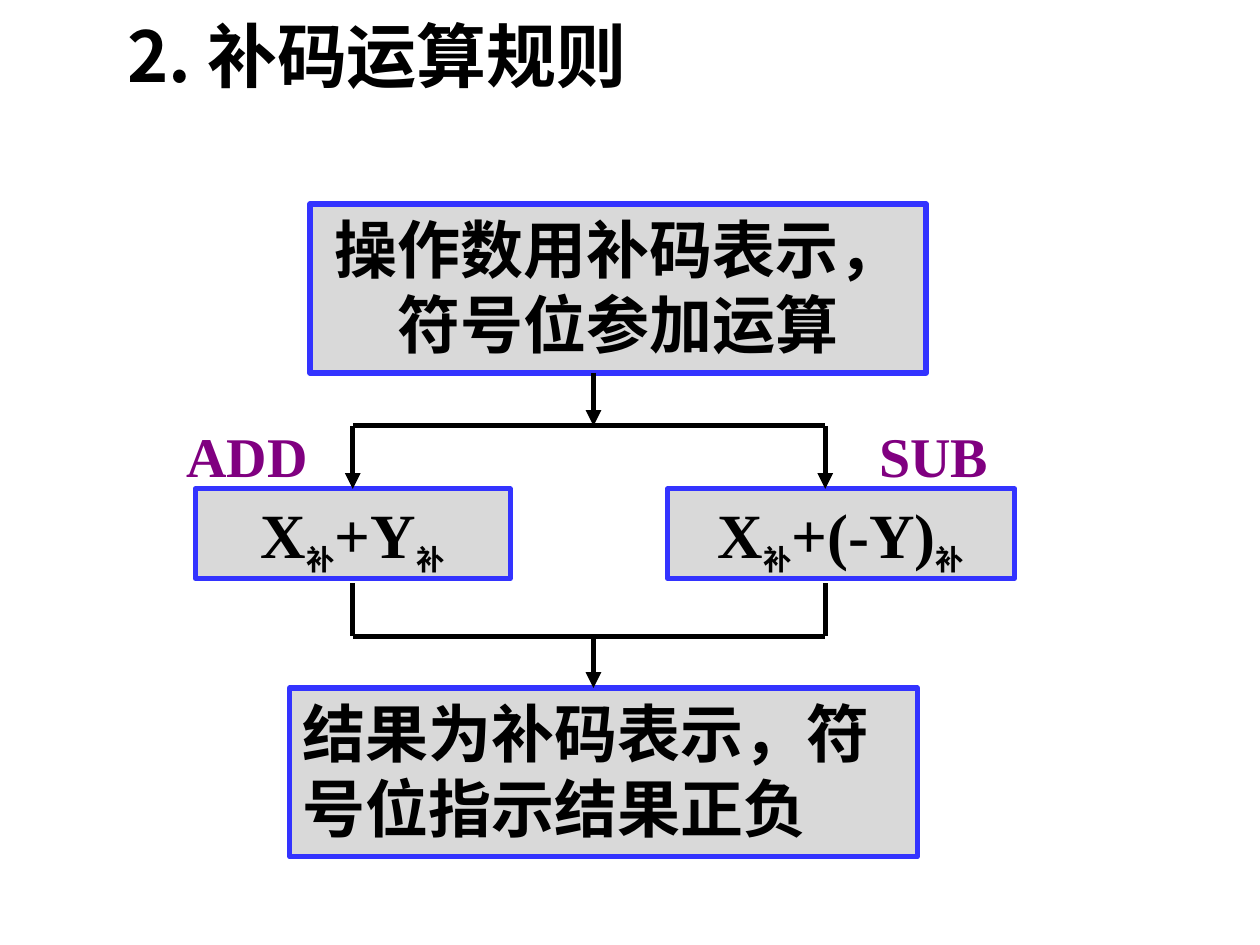
"""Builds a slide with the flow chart of two's complement addition and subtraction."""
from lxml import etree
from pptx import Presentation
from pptx.dml.color import RGBColor
from pptx.enum.shapes import MSO_CONNECTOR, MSO_SHAPE
from pptx.enum.text import MSO_ANCHOR, PP_ALIGN
from pptx.oxml.ns import qn
from pptx.util import Inches, Pt

RECT = MSO_SHAPE.RECTANGLE
LINE = MSO_CONNECTOR.STRAIGHT
TOP = MSO_ANCHOR.TOP
LEFT, MID = PP_ALIGN.LEFT, PP_ALIGN.CENTER
SANS, SERIF = "Noto Sans CJK SC", "Times New Roman"
COLORS = {"ink": "000000", "fill": "D9D9D9", "edge": "3333FF", "label": "800080"}


def write(shape, parts, size, color="ink", align=LEFT, face=SERIF):
    frame = shape.text_frame
    frame.word_wrap = True
    frame.vertical_anchor = TOP
    para = frame.paragraphs[0]
    para.alignment = align
    para.space_before = Pt(0)
    for part in parts:
        run = para.add_run()
        run.text = part
        font = run.font
        font.size = Pt(size)
        font.bold = True
        font.name = face
        font.color.rgb = RGBColor.from_string(COLORS[color])
        props = run._r.get_or_add_rPr()
        etree.SubElement(props, qn("a:ea"), typeface=SANS)
        if part == "补":
            font.size = Pt(28)
            props.set("baseline", "-25000")


def draw(x1, y1, x2, y2, arrow):
    line = slide.shapes.add_connector(LINE, Inches(x1), Inches(y1), Inches(x2), Inches(y2))
    line.line.width = Pt(3)
    line.line.color.rgb = RGBColor.from_string(COLORS["ink"])
    if arrow:
        etree.SubElement(line.line._get_or_add_ln(), qn("a:tailEnd"), type="triangle")
    etree.SubElement(line._element.spPr, qn("a:effectLst"))
    return line


prs = Presentation()
prs.slide_width, prs.slide_height = Inches(10), Inches(7.5)
slide = prs.slides.add_slide(prs.slide_layouts[5])

title = slide.shapes.title
title.left, title.top = Inches(0.91), Inches(0.05)
title.width, title.height = Inches(4.88), Inches(0.77)
write(title, ["2. 补码运算规则"], 40, face=SANS)

steps = [
    (2.46, 1.62, 4.89, 1.34, MID, ["操作数用补码表示，符号位参加运算"]),
    (2.3, 5.46, 4.98, 1.34, LEFT, ["结果为补码表示，符号位指示结果正负"]),
    (5.3, 3.88, 2.75, 0.71, MID, ["X", "补", "+(-Y)", "补"]),
    (1.55, 3.88, 2.5, 0.71, MID, ["X", "补", "+Y", "补"]),
]
for x, y, w, h, align, parts in steps:
    box = slide.shapes.add_shape(RECT, Inches(x), Inches(y), Inches(w), Inches(h))
    box.shadow.inherit = False
    box.fill.solid()
    box.fill.fore_color.rgb = RGBColor.from_string(COLORS["fill"])
    box.line.color.rgb = RGBColor.from_string(COLORS["edge"])
    box.line.width = Pt(3)
    write(box, parts, 36, align=align)

add_x, sub_x, stem_x = 2.8, 6.55, 4.71
fork_y, join_y = 3.38, 5.05
for y in (fork_y, join_y):
    draw(add_x, y, sub_x, y, False)
draw(stem_x, 2.96, stem_x, fork_y, True)
draw(stem_x, join_y, stem_x, 5.46, True)
for x in (sub_x, add_x):
    drop = draw(x, fork_y, x, 3.88, True)
    draw(x, 4.63, x, join_y, False)
drop.end_connect(box, 0)

for x, w, name in [(1.38, 1.67, "ADD"), (6.88, 1.58, "SUB")]:
    label = slide.shapes.add_textbox(Inches(x), Inches(3.3), Inches(w), Inches(0.63))
    write(label, [name], 32, "label")

prs.save("out.pptx")
